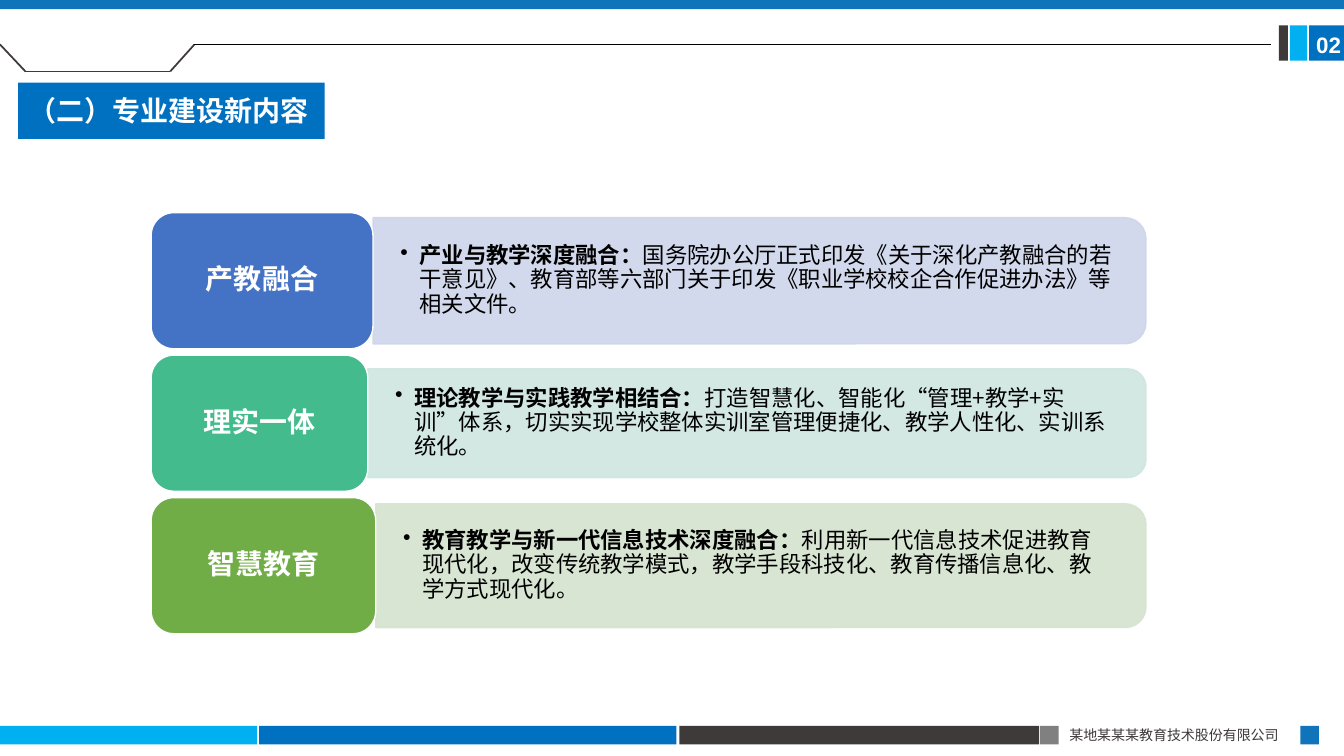
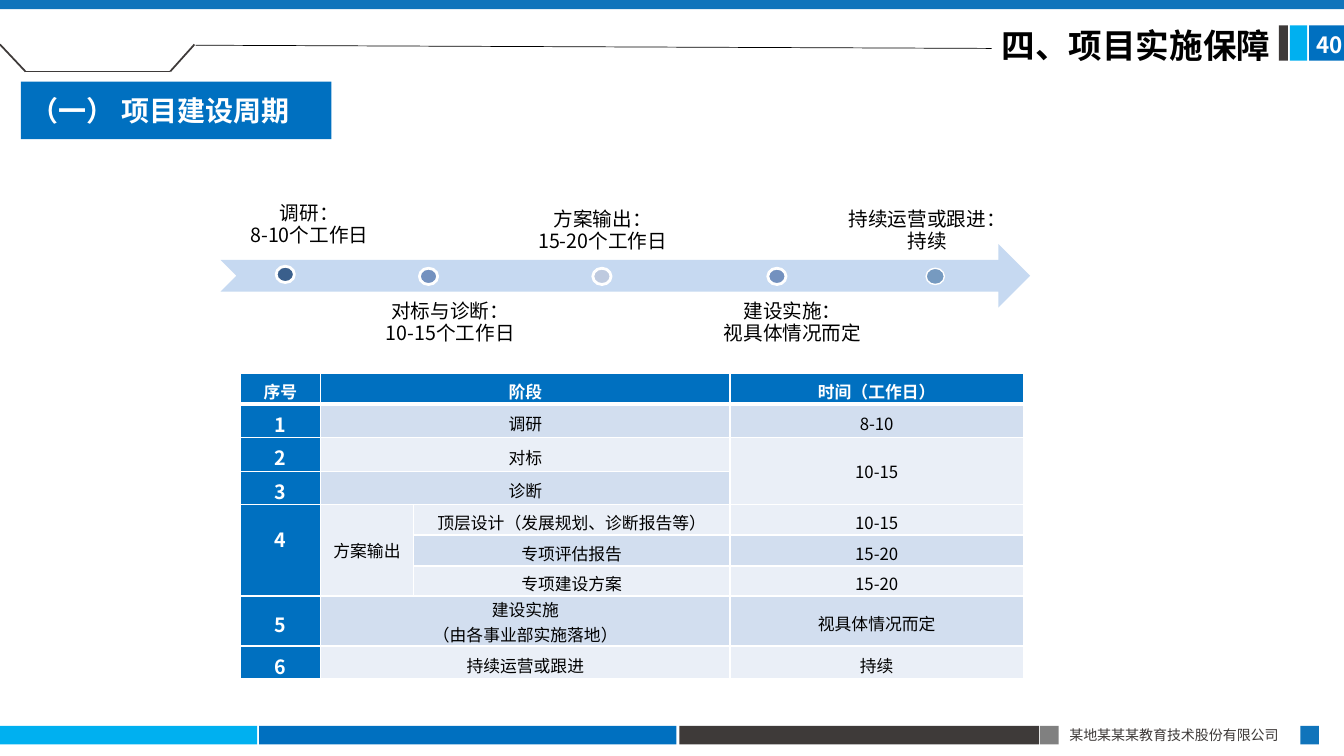
import pptx
import pptx.util
import pptx.dml.color
import pptx.enum.shapes
import pptx.enum.text
import pptx.oxml.ns
import lxml.etree

Cm, Pt = pptx.util.Cm, pptx.util.Pt
SHAPES = pptx.enum.shapes.MSO_SHAPE
ALIGN = pptx.enum.text.PP_ALIGN
ANCHOR = pptx.enum.text.MSO_ANCHOR
qn = pptx.oxml.ns.qn

# Shared style
WIDTH, HEIGHT = 33.87, 19.05
SANS = "Noto Sans CJK SC"
BLUE, SKY, BAND, DARK, GRAY = "0070C0", "00B0F0", "1074BB", "3E3A39", "808080"
WHITE, BLACK = "FFFFFF", "000000"
COMPANY = "某地某某某教育技术股份有限公司"

# left, top, width, height, colour (cm)
FRAME_BARS = [
    (0, 18.29, 6.48, 0.47, SKY),
    (6.53, 18.29, 10.52, 0.47, BLUE),
    (17.12, 18.29, 9.07, 0.47, DARK),
    (26.21, 18.29, 0.47, 0.47, GRAY),
    (32.77, 18.29, 0.47, 0.47, BAND),
    (32.99, 0.64, 0.89, 0.89, BLUE),
    (32.51, 0.64, 0.43, 0.89, SKY),
    (32.23, 0.64, 0.23, 0.89, DARK),
    (0, 0, WIDTH, 0.23, BAND),
]
NOTCH = [(0, 1.12), (0.64, 1.8), (4.29, 1.8), (4.9, 1.12)]

# Slide 1: label, label width, label colour, panel height, panel colour, lead, detail
TOPICS = [
    ("产教融合", 5.59, "4472C4", 3.18, "CFD5EA", "产业与教学深度融合：",
     "国务院办公厅正式印发《关于深化产教融合的若干意见》、教育部等六部门关于印发"
     "《职业学校校企合作促进办法》等相关文件。"),
    ("理实一体", 5.46, "43BB8D", 2.74, "CFE6E0", "理论教学与实践教学相结合：",
     "打造智慧化、智能化“管理+教学+实训”体系，切实实现学校整体实训室管理便捷化、"
     "教学人性化、实训系统化。"),
    ("智慧教育", 5.66, "70AD47", 3.12, "D5E3CF", "教育教学与新一代信息技术深度融合：",
     "利用新一代信息技术促进教育现代化，改变传统教学模式，教学手段科技化、"
     "教育传播信息化、教学方式现代化。"),
]
TOPIC_LEFT, TOPIC_TOP, TOPIC_HEIGHT, TOPIC_PITCH, PANEL_RIGHT = 3.81, 5.36, 3.43, 3.59, 28.88

# Slide 2: lines, label box, dot left, dot top, dot colour, dot outline
STEPS = [
    (["调研：", "8-10个工作日"], (5.59, 5, 4.42, 1.42), 6.96, 6.71, "3A5F8C", 2),
    (["对标与诊断：", "10-15个工作日"], (9.14, 7.54, 4.42, 1.6), 10.57, 6.76, "7391BF", 2),
    (["方案输出：", "15-20个工作日"], (13.03, 4.95, 4.32, 1.6), 14.94, 6.76, "BECADF", 2),
    (["建设实施：", "视具体情况而定"], (17.5, 7.54, 4.95, 1.6), 19.35, 6.76, "7391BF", 2),
    (["持续运营或跟进：", "持续"], (21.16, 4.95, 4.42, 1.6), 23.34, 6.76, "769AC0", 1),
]
ARROW = (5.56, 6.15, 20.4, 1.6)

SCHEDULE = [
    ["序号", "阶段", None, "时间（工作日）"],
    ["1", "调研", None, "8-10"],
    ["2", "对标", None, "10-15"],
    ["3", "诊断", None, None],
    ["4", "方案输出", "顶层设计（发展规划、诊断报告等）", "10-15"],
    [None, None, "专项评估报告", "15-20"],
    [None, None, "专项建设方案", "15-20"],
    ["5", "建设实施\n（由各事业部实施落地）", None, "视具体情况而定"],
    ["6", "持续运营或跟进", None, "持续"],
]
COLUMN_WIDTHS = [2.03, 2.34, 7.98, 7.39]
ROW_HEIGHTS = [0.76, 0.84, 0.86, 0.83, 0.77, 0.78, 0.76, 1.26, 0.83]
# first row, first column, last row, last column
MERGES = [(row, 1, row, 2) for row in (0, 1, 2, 3, 7, 8)] + [
    (2, 3, 3, 3), (4, 0, 6, 0), (4, 1, 6, 1)]


def rgb(value):
    return pptx.dml.color.RGBColor.from_string(value)


def set_alpha(fill, percent):
    color = fill._xPr.find(qn("a:solidFill"))[0]
    lxml.etree.SubElement(color, qn("a:alpha")).set("val", str(percent * 1000))


def write(frame, paragraphs, size=12, color=BLACK, bold=False, font=SANS, align=ALIGN.LEFT,
          anchor=ANCHOR.TOP, spacing=None, after=None, insets=None, bullet=False):
    """Fill a text frame; a paragraph is a string or a list of (text, bold) runs."""
    frame.word_wrap = True
    frame.vertical_anchor = anchor
    if insets:
        frame.margin_left = frame.margin_right = Cm(insets[0])
        frame.margin_top = frame.margin_bottom = Cm(insets[1])
    for index, runs in enumerate(paragraphs):
        paragraph = frame.add_paragraph() if index else frame.paragraphs[0]
        if bullet:
            properties = paragraph._p.get_or_add_pPr()
            properties.set("marL", str(Cm(0.48)))
            properties.set("indent", str(-Cm(0.48)))
            lxml.etree.SubElement(properties, qn("a:buChar")).set("char", "•")
        paragraph.alignment = align
        if spacing:
            paragraph.line_spacing = spacing
        if after:
            paragraph.space_after = after
        for text, run_bold in [(runs, bold)] if isinstance(runs, str) else runs:
            run = paragraph.add_run()
            run.text = text
            run.font.size, run.font.bold, run.font.name = Pt(size), run_bold, font
            run.font.color.rgb = rgb(color)
            east_asian = lxml.etree.SubElement(run._r.get_or_add_rPr(), qn("a:ea"))
            east_asian.set("typeface", SANS)


def add_text(slide, box, paragraphs, **text_format):
    shape = slide.shapes.add_textbox(*map(Cm, box))
    write(shape.text_frame, paragraphs, **text_format)


def add_block(slide, kind, box, fill, line=None, line_width=1.0):
    shape = slide.shapes.add_shape(kind, *map(Cm, box))
    shape.shadow.inherit = False
    shape.fill.solid()
    shape.fill.fore_color.rgb = rgb(fill)
    if line:
        shape.line.color.rgb = rgb(line)
        shape.line.width = Pt(line_width)
    else:
        shape.line.fill.background()
    return shape


def add_line(slide, start, end, color, width):
    line = slide.shapes.add_connector(
        pptx.enum.shapes.MSO_CONNECTOR.STRAIGHT, *map(Cm, start + end))
    line.line.color.rgb = rgb(color)
    line.line.width = Pt(width)
    lxml.etree.SubElement(line._element.spPr, qn("a:effectLst"))


def add_frame(presentation, number, number_font, section, section_box, rule_start, rule_end):
    """Add a slide with its bands, footer, header rule, page number and section tag."""
    slide = presentation.slides.add_slide(presentation.slide_layouts[6])
    for *box, color in FRAME_BARS:
        add_block(slide, SHAPES.RECTANGLE, box, color)
    add_text(slide, (26.7, 18.19, 6.1, 0.69), [COMPANY], size=10, color=DARK)
    for start, end in zip(NOTCH, NOTCH[1:]):
        add_line(slide, start, end, DARK, 1.25)
    add_line(slide, rule_start, rule_end, BLACK, 0.5)
    add_text(slide, (32.92, 0.66, 1.27, 0.94), [number],
             size=16, color=WHITE, bold=True, font=number_font)
    tag = add_block(slide, SHAPES.RECTANGLE, section_box, BLUE)
    write(tag.text_frame, [section], size=20, color=WHITE, bold=True, font="Calibri",
          anchor=ANCHOR.MIDDLE)
    return slide


def add_topics(slide):
    for index, (label, width, color, depth, tint, lead, detail) in enumerate(TOPICS):
        top = TOPIC_TOP + index * TOPIC_PITCH
        middle = top + TOPIC_HEIGHT / 2
        left = TOPIC_LEFT + width
        length = PANEL_RIGHT - left
        # Panel: upright shape turned a quarter so its round corners face right
        panel = add_block(slide, SHAPES.ROUND_2_SAME_RECTANGLE,
                          (left + (length - depth) / 2, middle - length / 2, depth, length),
                          tint, tint)
        panel.rotation = 90
        set_alpha(panel.fill, 90)
        set_alpha(panel.line.fill, 90)
        add_text(slide, (left, middle - depth / 2, length - 0.15, depth),
                 [[(lead, True), (detail, False)]], size=16, anchor=ANCHOR.MIDDLE,
                 spacing=0.9, insets=(0.69, 0.36), bullet=True)
        block = add_block(slide, SHAPES.ROUNDED_RECTANGLE,
                          (TOPIC_LEFT, top, width, TOPIC_HEIGHT), color, WHITE)
        write(block.text_frame, [label], size=20, color=WHITE, bold=True, align=ALIGN.CENTER,
              anchor=ANCHOR.MIDDLE, spacing=0.9, insets=(0.2, 0.1))


def add_timeline(slide):
    add_block(slide, SHAPES.NOTCHED_RIGHT_ARROW, ARROW, "C6D9F1")
    for lines, box, left, top, color, outline in STEPS:
        above = box[1] < ARROW[1]
        add_text(slide, box, lines, size=14, align=ALIGN.CENTER,
                 anchor=ANCHOR.BOTTOM if above else ANCHOR.TOP,
                 spacing=Pt(10.8), after=Pt(4.9), insets=(0.2, 0.2))
        add_block(slide, SHAPES.OVAL, (left, top, 0.46, 0.41), color, WHITE, outline)


def set_borders(cell, bottom):
    properties = cell._tc.get_or_add_tcPr()
    for index, side in enumerate(("lnL", "lnR", "lnT", "lnB")):
        border = lxml.etree.Element(qn("a:" + side))
        border.set("w", str(Pt(bottom if side == "lnB" else 1)))
        fill = lxml.etree.SubElement(border, qn("a:solidFill"))
        lxml.etree.SubElement(fill, qn("a:srgbClr")).set("val", WHITE)
        properties.insert(index, border)


def add_schedule(slide):
    table = slide.shapes.add_table(
        len(SCHEDULE), len(COLUMN_WIDTHS), Cm(6.05), Cm(9.42),
        Cm(sum(COLUMN_WIDTHS)), Cm(sum(ROW_HEIGHTS))).table
    for column, width in zip(table.columns, COLUMN_WIDTHS):
        column.width = Cm(width)
    for row, height in zip(table.rows, ROW_HEIGHTS):
        row.height = Cm(height)
    for top, left, bottom, right in MERGES:
        table.cell(top, left).merge(table.cell(bottom, right))
    for row, texts in enumerate(SCHEDULE):
        for column, text in enumerate(texts):
            cell = table.cell(row, column)
            heading = row == 0 or column == 0
            cell.fill.solid()
            cell.fill.fore_color.rgb = rgb(
                BLUE if heading else "D2DEEF" if row % 2 else "EAEFF7")
            set_borders(cell, 1 if row else 3)
            lines = (text or "").split("\n")
            cell.margin_top = Cm(0.13 if len(lines) == 1 else 0.03)
            cell.margin_bottom = Cm(0.13 if cell.span_height > 1 else 0)
            cell.vertical_anchor = ANCHOR.MIDDLE
            if text:
                write(cell.text_frame, lines, size=14 if row and not column else 12,
                      color=WHITE if heading else BLACK, bold=heading,
                      align=ALIGN.CENTER, anchor=ANCHOR.MIDDLE)
    # The number of the three-row stage sits above the middle
    table.cell(4, 0).margin_bottom = Cm(0.71)


def main():
    presentation = pptx.Presentation()
    presentation.slide_width, presentation.slide_height = Cm(WIDTH), Cm(HEIGHT)

    # Slide 1: new content
    slide = add_frame(presentation, "02", "Arial", "（二）专业建设新内容",
                      (0.46, 2.08, 7.72, 1.42), (4.9, 1.12), (32.03, 1.12))
    add_topics(slide)

    # Slide 2: project cycle
    slide = add_frame(presentation, "40", SANS, "（一） 项目建设周期",
                      (0.53, 2.06, 7.82, 1.45), (4.93, 1.14), (24.99, 1.22))
    add_text(slide, (24.99, 0.61, 8.33, 1.24), ["四、项目实施保障"],
             size=24, bold=True, spacing=0.9)
    add_timeline(slide)
    add_schedule(slide)

    presentation.save("out.pptx")


if __name__ == "__main__":
    main()
